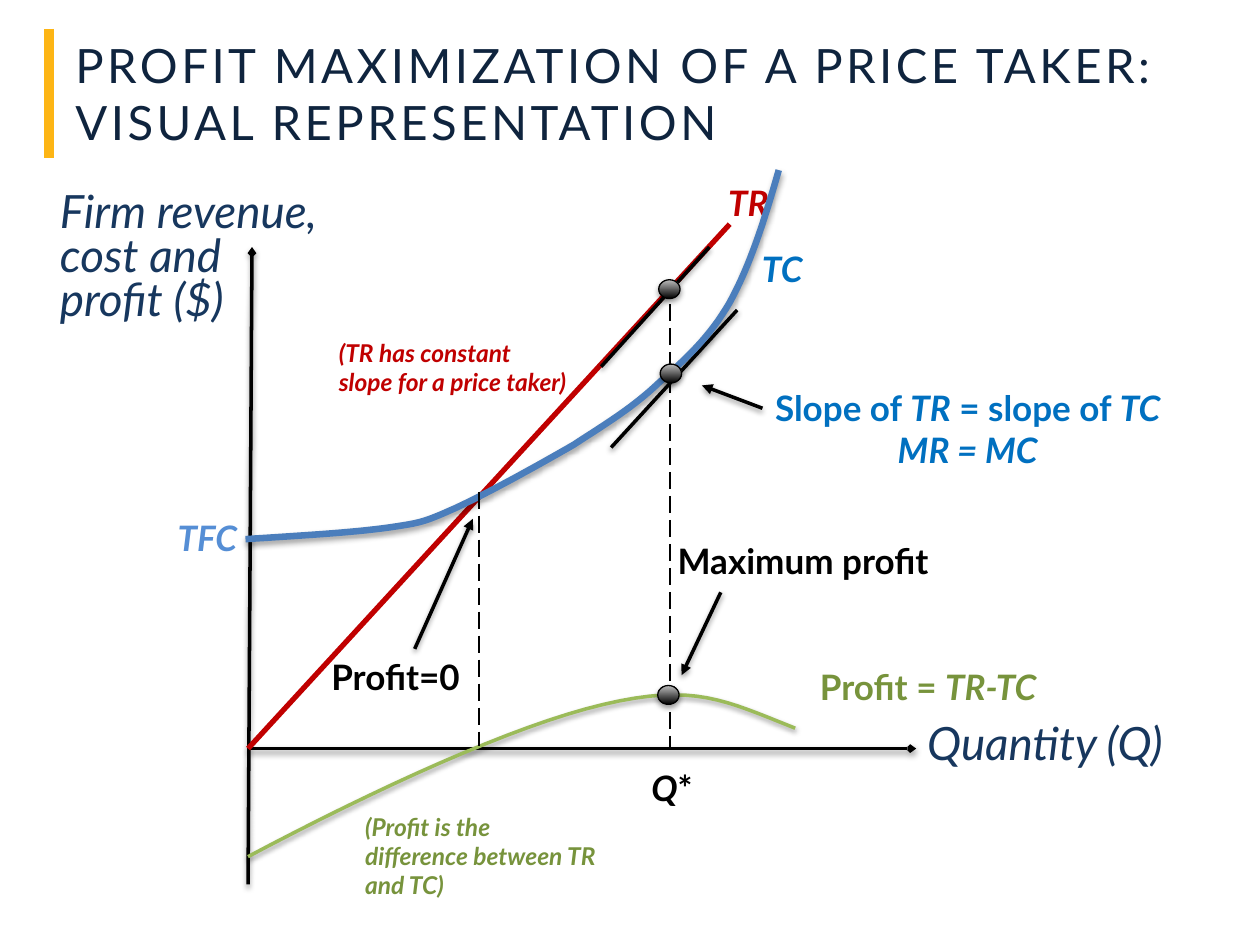
import pptx
import pptx.dml.color
import pptx.enum.dml
import pptx.enum.shapes
import pptx.enum.text
import pptx.oxml
import pptx.oxml.ns
import pptx.util
from lxml import etree

Cm = pptx.util.Cm
Pt = pptx.util.Pt

FONT = "Lato"
BLACK, NAVY, RED, BLUE, GREEN = "000000", "17375E", "C00000", "0070C0", "77933C"
ORIGIN_X, ORIGIN_Y = 5, 15.09
OPTIMUM_X, BREAK_EVEN_X = 13.51, 9.65
TANGENCY_DOTS = [(13.28, 5.64), (13.26, 13.82), (13.31, 7.34)]
PROFIT_CURVE = [(5, 17.27),
                (7.59, 15.9), (10.34, 14.63), (12.17, 14.2),
                (14, 13.77), (14.61, 14.12), (16.03, 14.68)]
COST_CURVE = [(4.95, 10.87),
              (6.02, 10.8), (7.09, 10.74), (7.8, 10.64),
              (8.51, 10.54), (8.56, 10.52), (9.19, 10.24),
              (9.8, 9.96), (10.87, 9.37), (11.56, 8.97),
              (12.24, 8.53), (12.78, 8.2), (13.28, 7.72),
              (13.82, 7.24), (14.3, 6.81), (14.71, 6.1),
              (15.11, 5.38), (15.42, 4.42), (15.7, 3.43)]


def rgb(color):
    return pptx.dml.color.RGBColor.from_string(color)


def add_child(parent, tag, **attributes):
    return etree.SubElement(parent, pptx.oxml.ns.qn(tag), attributes)


def set_effects(shape, shadow):
    """Give the shape a soft shadow below it, or no effect at all."""
    effects = add_child(shape._element.spPr, "a:effectLst")
    if shadow:
        outer = add_child(effects, "a:outerShdw", blurRad="40000", dist="20000",
                          dir="5400000", rotWithShape="0")
        add_child(add_child(outer, "a:srgbClr", val=BLACK), "a:alpha", val="38000")


def style_line(shape, color, width):
    shape.line.color.rgb = rgb(color)
    shape.line.width = Pt(width)


def add_line(slide, start, end, color=BLACK, width=2, dashed=False, tip=None,
             tip_size="med", shadow=False):
    """Draw a straight line; tip names the arrowhead at its end."""
    line = slide.shapes.add_connector(pptx.enum.shapes.MSO_CONNECTOR.STRAIGHT,
                                      *map(Cm, start + end))
    style_line(line, color, width)
    if dashed:
        line.line.dash_style = pptx.enum.dml.MSO_LINE.LONG_DASH
    if tip:
        add_child(line.line._get_or_add_ln(), "a:tailEnd", type=tip,
                  w=tip_size, len=tip_size)
    set_effects(line, shadow)


def sample_bezier(points, steps=16):
    """Return points along a chain of cubic Bezier pieces."""
    sampled = [points[0]]
    for first in range(0, len(points) - 1, 3):
        piece = points[first:first + 4]
        for step in range(1, steps + 1):
            t = step / steps
            weights = ((1 - t) ** 3, 3 * t * (1 - t) ** 2, 3 * t * t * (1 - t), t ** 3)
            sampled.append(tuple(sum(w * p[axis] for w, p in zip(weights, piece))
                                 for axis in (0, 1)))
    return sampled


def add_curve(slide, points, color, width):
    track = [(Cm(x), Cm(y)) for x, y in sample_bezier(points)]
    builder = slide.shapes.build_freeform(*track[0])
    builder.add_line_segments(track[1:], close=False)
    curve = builder.convert_to_shape()
    curve.fill.background()
    style_line(curve, color, width)
    set_effects(curve, True)


def add_dot(slide, left, top):
    dot = slide.shapes.add_shape(pptx.enum.shapes.MSO_SHAPE.FLOWCHART_CONNECTOR,
                                 Cm(left), Cm(top), Cm(0.43), Cm(0.38))
    dot.fill.gradient()
    dot.fill.gradient_angle = 90
    for stop, color, position in zip(dot.fill.gradient_stops, (BLACK, "BDBDBD"), (0, 1)):
        stop.color.rgb = rgb(color)
        stop.position = position
    style_line(dot, BLACK, 0.75)
    set_effects(dot, True)


def add_text(slide, box, paragraphs, color, size=20, bold=True, spacing=None,
             tracking=None, margins=(0.25, 0.13), centered=False):
    """Add paragraphs, each a list of (text, italic) runs."""
    text_box = slide.shapes.add_textbox(*map(Cm, box))
    frame = text_box.text_frame
    frame.word_wrap = True
    frame.margin_left = frame.margin_right = Cm(margins[0])
    frame.margin_top = frame.margin_bottom = Cm(margins[1])
    for index, runs in enumerate(paragraphs):
        paragraph = frame.add_paragraph() if index else frame.paragraphs[0]
        if spacing:
            paragraph.line_spacing = spacing
        if centered:
            paragraph.alignment = pptx.enum.text.PP_ALIGN.CENTER
        for text, italic in runs:
            run = paragraph.add_run()
            run.text = text
            run.font.name = FONT
            run.font.size = Pt(size)
            run.font.bold = bold
            run.font.italic = italic
            run.font.color.rgb = rgb(color)
            if tracking:
                run._r.get_or_add_rPr().set("spc", str(tracking * 100))
    return frame


def add_title(slide):
    add_line(slide, (0.99, 0.58), (0.99, 3.18), "FDB515", 6)
    title = add_text(slide, (1.27, 0.81, 23.67, 2.13),
                     [[("PROFIT MAXIMIZATION OF A PRICE TAKER: VISUAL REPRESENTATION", False)]],
                     "0F243E", 27, bold=False, tracking=2, margins=(0.25, 0.25))
    title.vertical_anchor = pptx.enum.text.MSO_ANCHOR.MIDDLE


def add_axes(slide):
    label_style = dict(color=NAVY, size=26.2, bold=False, margins=(0.05, 0.08))
    axis_style = dict(tip="arrow", tip_size="sm", shadow=True)
    add_line(slide, (ORIGIN_X, ORIGIN_Y), (18.47, ORIGIN_Y), **axis_style)
    add_text(slide, (1.16, 3.82, 5.8, 2.54),
             [[(line, True)] for line in ("Firm revenue,", "cost and", "profit ($)")],
             spacing=0.8, **label_style)
    add_line(slide, (ORIGIN_X, 17.83), (5.08, 4.98), **axis_style)
    add_text(slide, (18.64, 14.46, 5.8, 2.54), [[("Quantity (Q)", True)]],
             spacing=Pt(27.6), **label_style)


def add_curves(slide):
    add_line(slide, (ORIGIN_X, ORIGIN_Y), (14.71, 4.52), RED, 3)
    add_text(slide, (14.43, 3.53, 2.54, 1.12), [[("TR", True)]], RED)
    add_text(slide, (15.11, 4.85, 2.54, 1.12), [[("TC", True)]], BLUE)
    for start, end in (((12.12, 7.39), (14.3, 4.98)), ((12.32, 9.02), (14.86, 6.25))):
        add_line(slide, start, end, shadow=True)
    add_curve(slide, PROFIT_CURVE, "9BBB59", 2)
    add_curve(slide, COST_CURVE, "4B7EBC", 3.75)
    add_line(slide, (BREAK_EVEN_X, 9.91), (BREAK_EVEN_X, 15.04), width=1.25, dashed=True)
    for left, top in TANGENCY_DOTS:
        add_dot(slide, left, top)


def add_annotations(slide):
    add_text(slide, (16.28, 13.28, 5.66, 1.12), [[("Profit = ", False), ("TR-TC", True)]], GREEN)
    add_text(slide, (15.14, 7.67, 8.74, 1.96),
             [[("Slope of ", False), ("TR", True), (" = slope of ", False), ("TC", True)],
              [("MR = MC", True)]], BLUE, centered=True)
    add_text(slide, (6.58, 6.68, 5.16, 1.45),
             [[("(TR has constant slope for a price taker)", True)]], RED, 14)
    add_text(slide, (7.11, 16.23, 5.16, 2.06),
             [[("(Profit is the difference between TR and TC)", True)]], GREEN, 14)
    add_text(slide, (13.41, 10.74, 8.18, 1.12), [[("Maximum profit", False)]], BLACK)
    add_text(slide, (12.88, 15.32, 8.18, 1.12), [[("Q", True), ("*", False)]], BLACK)
    add_text(slide, (3.33, 10.29, 1.83, 1.12), [[("TFC", True)]], "558ED5")
    add_text(slide, (6.43, 13.08, 3.2, 1.12), [[("Profit=0", False)]], BLACK)
    for start, end in (((14.53, 11.94), (13.74, 13.61)),
                       ((15.37, 8.23), (14.15, 7.77)),
                       ((8.36, 13.08), (9.53, 10.46))):
        add_line(slide, start, end, tip="triangle", shadow=True)


def main():
    deck = pptx.Presentation()
    deck.slide_width, deck.slide_height = Cm(25.4), Cm(19.05)
    slide = deck.slides.add_slide(deck.slide_layouts[6])
    add_line(slide, (OPTIMUM_X, 5.64), (OPTIMUM_X, ORIGIN_Y), width=1.25, dashed=True)
    add_title(slide)
    add_axes(slide)
    add_curves(slide)
    add_annotations(slide)
    deck.save("out.pptx")


if __name__ == "__main__":
    main()
